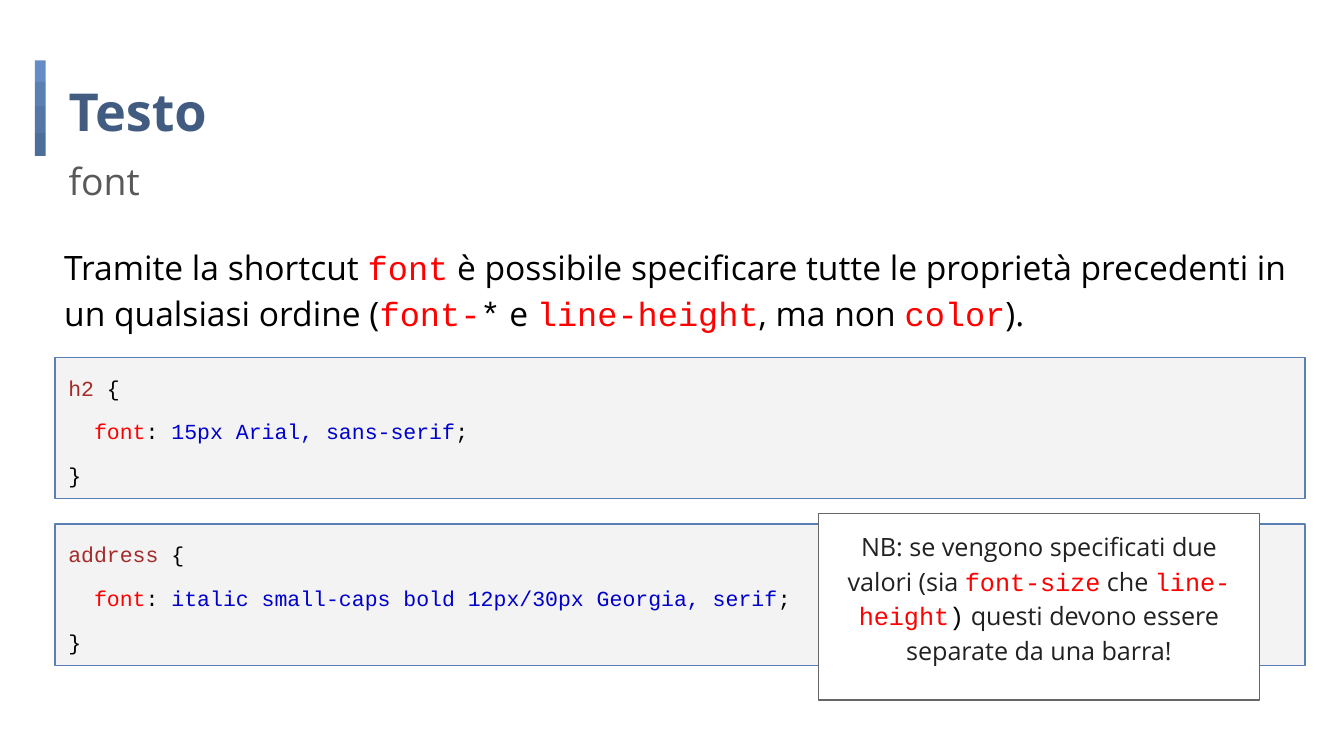
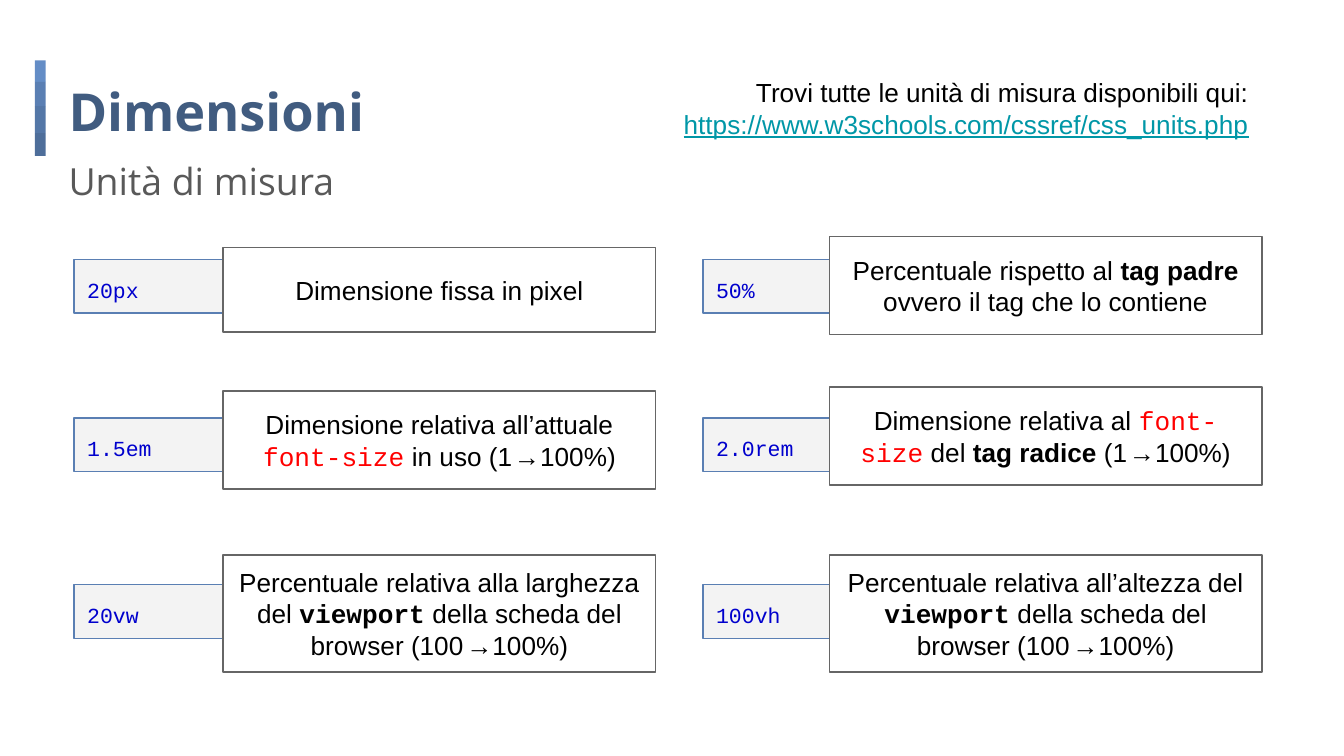
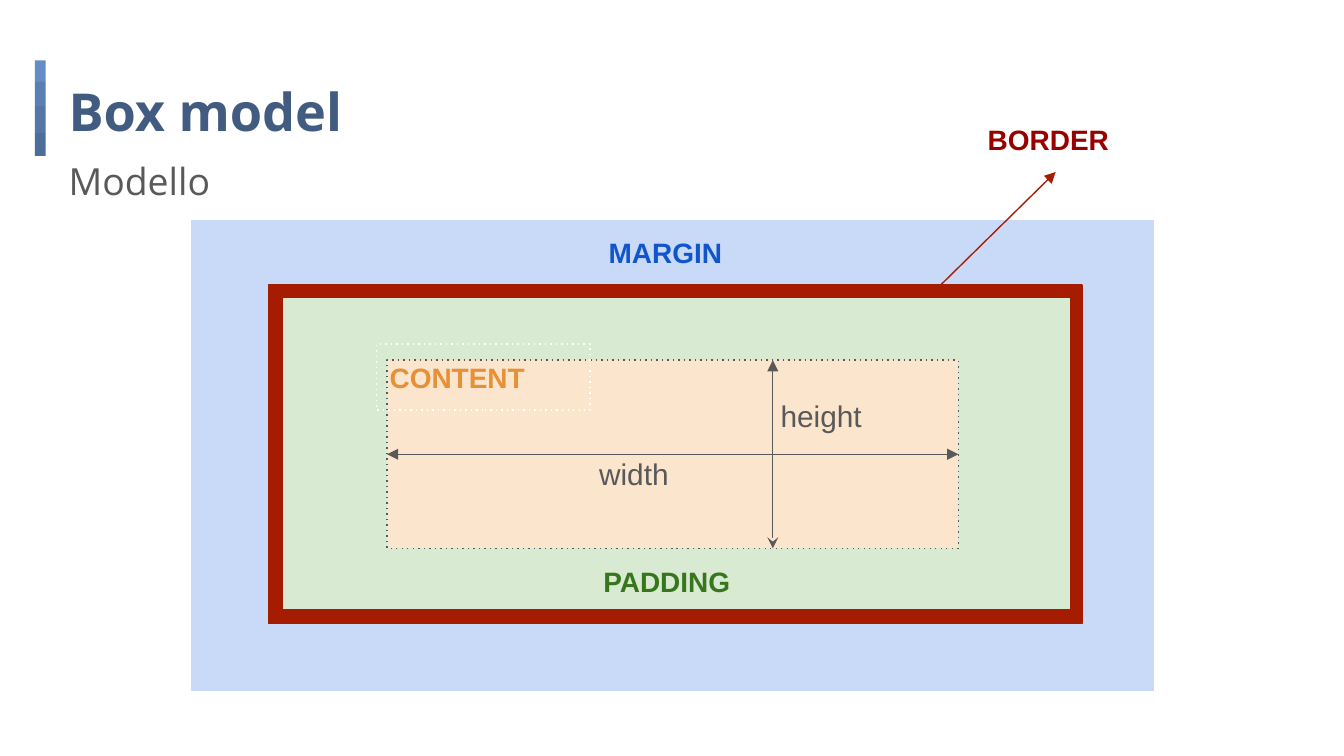
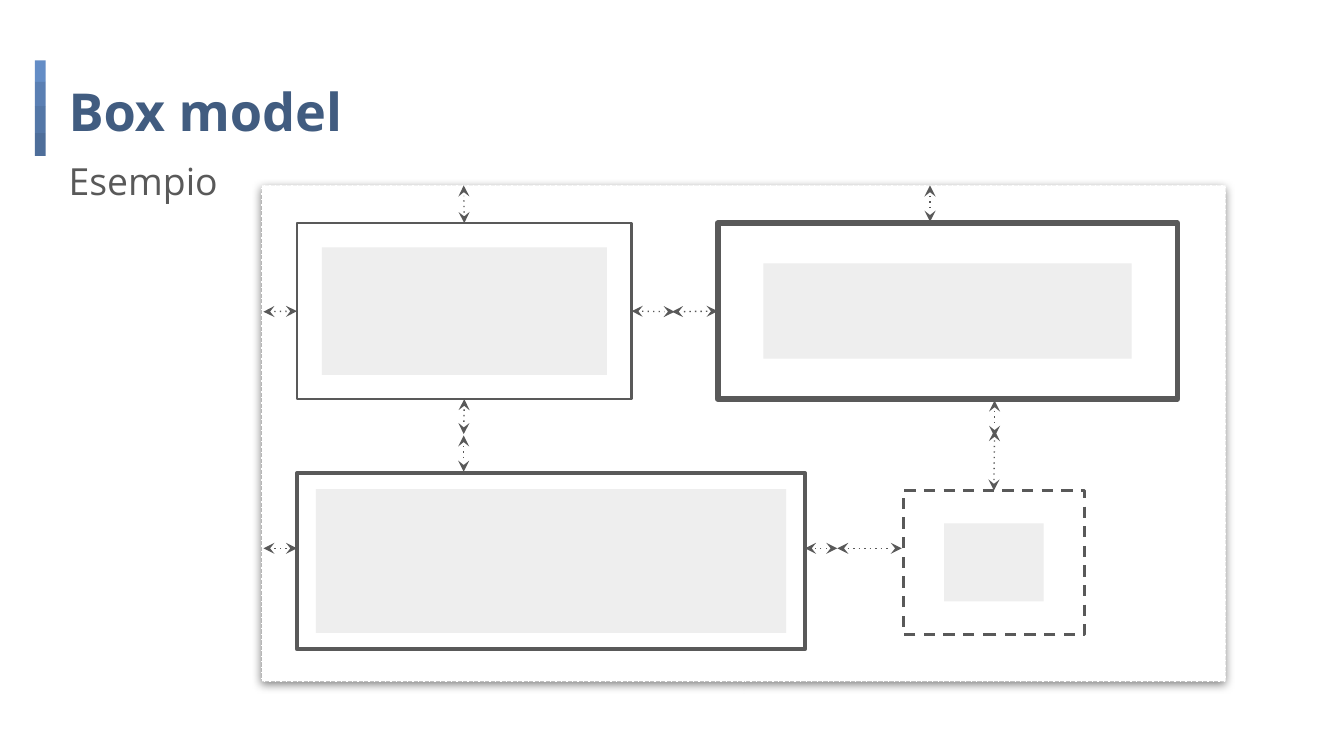
import pptx
import pptx.util
import pptx.dml.color
import pptx.enum.shapes
import pptx.enum.text
import pptx.oxml.ns
import lxml.etree

Inches = pptx.util.Inches
Pt = pptx.util.Pt
ALIGN = pptx.enum.text.PP_ALIGN
ANCHOR = pptx.enum.text.MSO_ANCHOR
RECT = pptx.enum.shapes.MSO_SHAPE.RECTANGLE
STRAIGHT = pptx.enum.shapes.MSO_CONNECTOR.STRAIGHT

SANS, MONO, ARIAL = "Open Sans", "Courier New", "Arial"
BLACK, WHITE, RED, GREY = "000000", "FFFFFF", "FF0000", "595959"
BLUE, PALE, FRAME = "5A7FB3", "F3F3F3", "666666"
TOP, LEFT, BOTTOM, RIGHT = range(4)

STYLES = {
    "title": (SANS, "415C80", True),
    "sub": (SANS, GREY, False),
    "body": (SANS, BLACK, False),
    "note": (SANS, "212121", False),
    "tag": (MONO, "A52A2A", False),
    "prop": (MONO, RED, False),
    "value": (MONO, "0000CD", False),
    "mark": (MONO, BLACK, False),
    "view": (MONO, BLACK, True),
    "plain": (ARIAL, BLACK, False),
    "bold": (ARIAL, BLACK, True),
    "link": (ARIAL, "0097A7", False),
    "size": (ARIAL, GREY, False),
    "content": (ARIAL, "E69138", True),
    "border": (ARIAL, "980000", True),
    "margin": (ARIAL, "1155CC", True),
    "padding": (ARIAL, "38761D", True),
}


def color(code):
    return pptx.dml.color.RGBColor.from_string(code)


def child(node, tag, **attrs):
    return lxml.etree.SubElement(node, pptx.oxml.ns.qn(tag), attrs)


def dress(font, style):
    font.name, code, font.bold = STYLES[style]
    font.color.rgb = color(code)
    if style == "link":
        font.underline = True


def say(frame, paras, size, align=ALIGN.LEFT, lead=None, gap=0, anchor=ANCHOR.TOP):
    frame.word_wrap = True
    frame.auto_size = pptx.enum.text.MSO_AUTO_SIZE.NONE
    frame.vertical_anchor = anchor
    frame.margin_left = frame.margin_right = Inches(0.1)
    frame.margin_top = frame.margin_bottom = Inches(0.1)
    for i, runs in enumerate(paras):
        para = frame.add_paragraph() if i else frame.paragraphs[0]
        para.alignment = align
        para.space_before = Pt(gap if i else 0)
        if lead:
            para.line_spacing = lead
        para.font.size = Pt(size)
        same = len({run[0] for run in runs}) == 1
        if same:
            dress(para.font, runs[0][0])
        for style, text, *small in runs:
            run = para.add_run()
            run.text = text
            if not same:
                dress(run.font, style)
            if small:
                run.font.size = Pt(small[0])


def place(shape, box):
    shape.left, shape.top, shape.width, shape.height = map(Inches, box)


def shift(box, x, y):
    return box[0] + x, box[1] + y


def stroke(item, code, width, dash=None):
    item.line.color.rgb = color(code)
    item.line.width = Pt(width)
    if dash:
        child(item.line._get_or_add_ln(), "a:prstDash", val=dash)


def block(slide, box, fill=None, edge=None, width=0.75, dash=None):
    shape = slide.shapes.add_shape(RECT, *map(Inches, box))
    shape.shadow.inherit = False
    if fill:
        shape.fill.solid()
        shape.fill.fore_color.rgb = color(fill)
    else:
        shape.fill.background()
    if edge:
        stroke(shape, edge, width, dash)
    else:
        shape.line.fill.background()
    return shape


def label(slide, box, paras, size, **look):
    field = slide.shapes.add_textbox(*map(Inches, box))
    say(field.text_frame, paras, size, **look)


def arrow(slide, start, end, code, head=None, tail=None, dash=None):
    free = [(0, 0) if hasattr(spot[0], "shape_id") else spot for spot in (start, end)]
    line = slide.shapes.add_connector(STRAIGHT, *map(Inches, free[0] + free[1]))
    if free[0] != start:
        line.begin_connect(*start)
    if free[1] != end:
        line.end_connect(*end)
    stroke(line, code, 0.75, dash)
    for tag, kind in (("a:headEnd", head), ("a:tailEnd", tail)):
        if kind:
            child(line.line._get_or_add_ln(), tag, type=kind)
    child(line._element.spPr, "a:effectLst")


def band(slide, layout, left, top):
    parts = [("648DC6", 0.16), (BLUE, 0.18), ("5477A7", 0.2), ("4E6E9A", 0.17)]
    for i, (fill, high) in enumerate(parts):
        bar = block(slide, (left, top, 0.08, high), fill)
        bar._element.nvSpPr.cNvPr.set("id", str(20 + i))
        layout.shapes._spTree.append(bar._element)
        top += high


def header(slide, title, wide, sub, span):
    name, topic = slide.placeholders
    place(name, (0.41, 0.49, wide, 0.63))
    say(name.text_frame, [[("title", title)]], 28)
    place(topic, (0.41, 1.03, span, 0.49))
    say(topic.text_frame, [[("sub", sub)]], 20, lead=1.15)


def code(slide, box, lines):
    shape = block(slide, box, PALE, BLUE)
    say(shape.text_frame, lines, 11.5, lead=1.15, gap=7.5)


def rule(slide, box, tag, value):
    code(slide, box, [
        [("tag", tag + " "), ("mark", "{")],
        [("prop", "  font"), ("mark", ":"), ("value", " " + value), ("mark", ";")],
        [("mark", "}")],
    ])


def fonts(slide):
    label(slide, (0.38, 1.69, 9.3, 0.85), [[
        ("body", "Tramite la shortcut "), ("prop", "font"),
        ("body", " è possibile specificare tutte le proprietà precedenti in un qualsiasi ordine ("),
        ("prop", "font-"), ("mark", "*"), ("body", " e "), ("prop", "line-height"),
        ("body", ", ma non "), ("prop", "color"), ("body", ")."),
    ]], 18, lead=1.15)
    rule(slide, (0.41, 2.66, 9.3, 1.05), "h2", "15px Arial, sans-serif")
    rule(slide, (0.41, 3.9, 9.3, 1.05), "address",
         "italic small-caps bold 12px/30px Georgia, serif")
    note = block(slide, (6.09, 3.82, 3.28, 1.39), WHITE, FRAME)
    say(note.text_frame, [[
        ("note", "NB: se vengono specificati due valori (sia "), ("prop", "font-size"),
        ("note", " che "), ("prop", "line-height"), ("mark", ")"),
        ("note", " questi devono essere separate da una barra!"),
    ]], 13.5, align=ALIGN.CENTER, lead=1.15)


def ratio(text, size):
    return [("plain", text), ("plain", " ", size), ("plain", "→100%)")]


def view(side):
    return [("plain", f"Percentuale relativa {side} del "), ("view", "viewport"),
            *ratio(" della scheda del browser (100", 5)]


def unit(slide, left, top, inset, name, rise, high, runs):
    code(slide, (left, top, 2.79, 0.4), [[("value", name)]])
    note = block(slide, (left + inset, top - rise, 3.22, high), WHITE, FRAME)
    say(note.text_frame, [runs], 14, align=ALIGN.CENTER, anchor=ANCHOR.MIDDLE)


def units(slide):
    label(slide, (4.27, 0.47, 5.12, 0.67), [[
        ("plain", "Trovi tutte le unità di misura disponibili qui: "),
        ("link", "https://www.w3schools.com/cssref/css_units.php"),
    ]], 14, align=ALIGN.RIGHT)
    rows = [
        (1.93,
         ("20px", 0.09, 0.63, [("plain", "Dimensione fissa in pixel")]),
         ("50%", 0.17, 0.73, [("plain", "Percentuale rispetto al "), ("bold", "tag padre "),
                              ("plain", "ovvero il tag che lo contiene")])),
        (3.11,
         ("1.5em", 0.2, 0.73, [("plain", "Dimensione relativa all’attuale "),
                               ("prop", "font-size"), *ratio(" in uso (1", 3)]),
         ("2.0rem", 0.23, 0.73, [("plain", "Dimensione relativa al "), ("prop", "font-size"),
                                 ("plain", " del "), ("bold", "tag radice"),
                                 *ratio(" (1", 3)])),
        (4.35,
         ("20vw", 0.22, 0.87, view("alla larghezza")),
         ("100vh", 0.22, 0.87, view("all’altezza"))),
    ]
    for top, first, second in rows:
        unit(slide, 0.55, top, 1.11, *first)
        unit(slide, 5.23, top, 0.94, *second)


def model(slide, box):
    def inner(x, y, wide, high):
        return *shift(box, x, y), wide, high

    block(slide, box, "C9DAF8", WHITE)
    block(slide, inner(0.58, 0.49, 6.05, 2.52), "A61C00", "A61C00")
    block(slide, inner(0.69, 0.59, 5.85, 2.31), "D9EAD3", "D9EAD3")
    core = block(slide, inner(1.46, 1.05, 4.25, 1.4), "FCE5CD", GREY, dash="dot")
    arrow(slide, (core, LEFT), (core, RIGHT), GREY, "triangle", "triangle")
    arrow(slide, shift(box, 4.33, 2.45), shift(box, 4.33, 1.05), GREY, "stealth", "triangle")

    tags = {}
    for style, spot in (("content", (1.38, 0.93, 1.59, 0.49)),
                        ("border", (5.83, -0.84, 1.21, 0.49))):
        tags[style] = block(slide, inner(*spot), None, WHITE, dash="dot")
        say(tags[style].text_frame, [[(style, style.upper())]], 15, anchor=ANCHOR.MIDDLE)
    for style, x, y in (("margin", 3.01, 0), ("padding", 2.97, 2.45)):
        label(slide, inner(x, y, 1.21, 0.49), [[(style, style.upper())]], 15,
              anchor=ANCHOR.MIDDLE)
    label(slide, inner(2.94, 1.66, 0.8, 0.38), [[("size", "width")]], 16)
    label(slide, inner(4.29, 1.23, 0.93, 0.38), [[("size", "height")]], 16)
    arrow(slide, shift(box, 5.58, 0.49), (tags["border"], BOTTOM), "A61C00", tail="triangle")


def cell(slide, box, core, width, dash=None):
    outer = block(slide, box, WHITE, GREY, width, dash)
    left, top, wide, high = box
    block(slide, (left + (wide - core[0]) / 2, top + (high - core[1]) / 2, *core), "EEEEEE")
    return outer


def sample(slide, box):
    panel = block(slide, box, WHITE, WHITE, dash="dot")
    glow = child(panel._element.spPr.find(pptx.oxml.ns.qn("a:effectLst")), "a:outerShdw",
                 blurRad=str(Pt(4.5)), dist=str(Pt(1.5)), dir="5400000",
                 algn="bl", rotWithShape="0")
    child(child(glow, "a:srgbClr", val=BLACK), "a:alpha", val="50000")

    cells = [
        ((0.26, 0.28, 2.49, 1.31), (2.12, 0.95), 1.5, None),
        ((3.39, 0.28, 3.42, 1.31), (2.74, 0.71), 3, None),
        ((0.26, 2.14, 3.78, 1.31), (3.5, 1.07), 2.25, None),
        ((4.77, 2.27, 1.35, 1.07), (0.74, 0.58), 1.5, "dash"),
    ]
    small, large, _, dashed = [
        cell(slide, (*shift(box, x, y), wide, high), *look)
        for (x, y, wide, high), *look in cells
    ]
    joined = [
        (small, LEFT, 0.01, 0.94), (small, RIGHT, 3.07, 0.94),
        (small, TOP, 1.5, 0), (small, BOTTOM, 1.5, 1.85),
        (large, LEFT, 3.05, 0.94), (dashed, TOP, 5.45, 1.82),
    ]
    loose = [
        (0.26, 2.7, 0.01, 2.7), (4.28, 2.7, 4.04, 2.7), (4.28, 2.7, 4.76, 2.7),
        (4.97, 0, 4.97, 0.27), (1.5, 1.86, 1.5, 2.13), (5.45, 1.6, 5.45, 1.87),
    ]
    ends = [((shape, side), shift(box, x, y)) for shape, side, x, y in joined]
    ends += [(shift(box, *gap[:2]), shift(box, *gap[2:])) for gap in loose]
    for start, end in ends:
        arrow(slide, start, end, GREY, "stealth", "stealth", "dot")


def main():
    deck = pptx.Presentation()
    deck.slide_width = Inches(10)
    deck.slide_height = Inches(10) * 9 // 16
    layout = deck.slide_layouts[0]
    heads = [
        ("Testo", 4.01, "font", 3.55),
        ("Dimensioni", 3.56, "Unità di misura", 2.51),
        ("Box model", 2.68, "Modello", 2.85),
        ("Box model", 2.68, "Esempio", 2.85),
    ]
    slides = [deck.slides.add_slide(layout) for _ in heads]
    band(slides[0], layout, 0.26, 0.45)
    for slide, head in zip(slides, heads):
        header(slide, *head)
    fonts(slides[0])
    units(slides[1])
    model(slides[2], (1.42, 1.63, 7.17, 3.52))
    sample(slides[3], (1.95, 1.38, 7.17, 3.69))
    deck.save("out.pptx")


if __name__ == "__main__":
    main()
